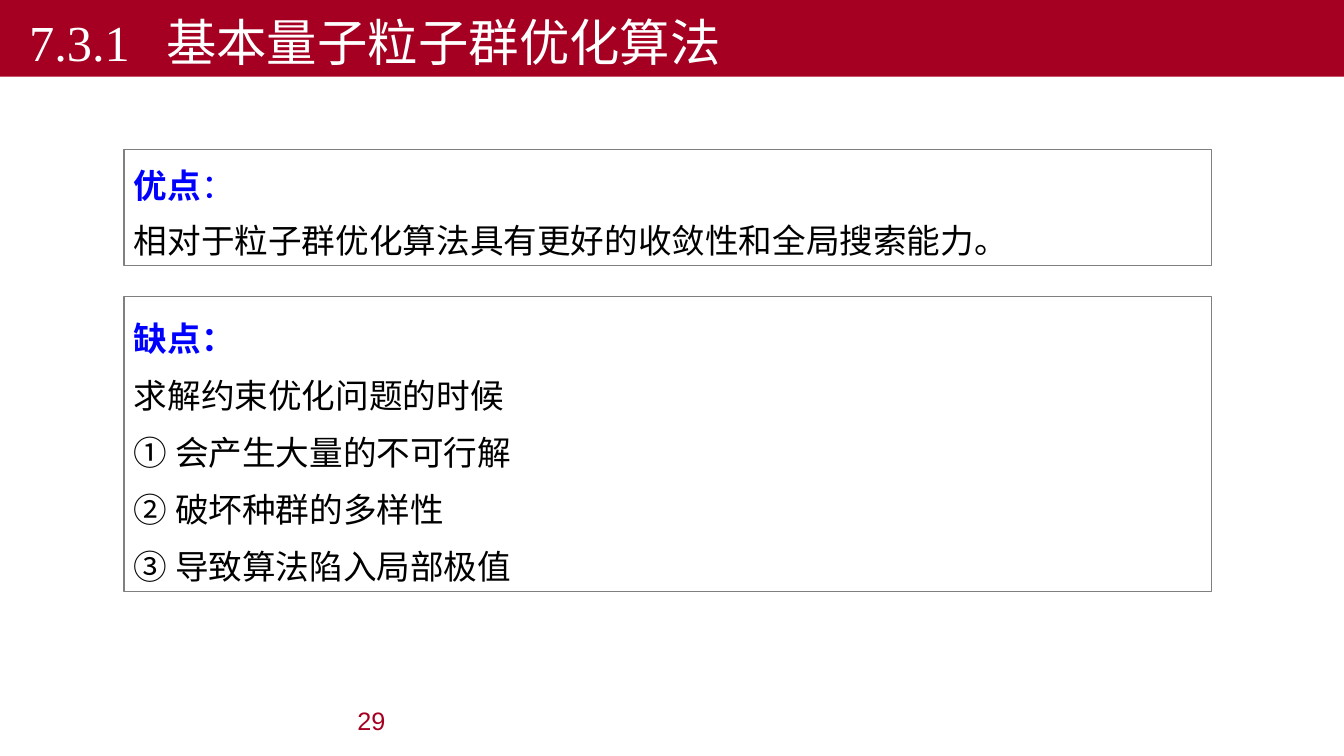
"""Build the slide on the pros and cons of the basic quantum particle swarm method."""
import pptx
import pptx.util
import pptx.dml.color
import pptx.enum.shapes
import pptx.enum.text

Inches = pptx.util.Inches
Pt = pptx.util.Pt
ALIGN = pptx.enum.text.PP_ALIGN
ANCHOR = pptx.enum.text.MSO_ANCHOR
SANS, HAN, SERIF = "Arial", "Noto Sans CJK SC", "Times New Roman"


class Deck:
    """Hold the style and the current slide."""

    hues = {"red": "A50021", "blue": "0000FF", "black": "000000",
            "white": "FFFFFF", "gray": "808080"}

    def __init__(self):
        self.deck = pptx.Presentation()
        self.deck.slide_width = Inches(13.33)
        self.deck.slide_height = Inches(7.5)
        self.slide = self.deck.slides.add_slide(self.deck.slide_layouts[6])

    def hue(self, name):
        return pptx.dml.color.RGBColor.from_string(self.hues[name])

    def rect(self, place, fill, edge=None):
        kind = pptx.enum.shapes.MSO_SHAPE.RECTANGLE
        shape = self.slide.shapes.add_shape(kind, *map(Inches, place))
        shape.shadow.inherit = False
        shape.fill.solid()
        shape.fill.fore_color.rgb = self.hue(fill)
        if edge:
            shape.line.color.rgb = self.hue(edge)
            shape.line.width = Pt(0.75)
        else:
            shape.line.fill.background()
        return self.frame(shape, ANCHOR.BOTTOM)

    def label(self, place):
        box = self.slide.shapes.add_textbox(*map(Inches, place))
        return self.frame(box, ANCHOR.MIDDLE)

    def frame(self, shape, anchor):
        frame = shape.text_frame
        frame.word_wrap = True
        frame.vertical_anchor = anchor
        return frame

    def words(self, para, runs, size, color, align, bold=False):
        para.alignment = align
        para.font.size = Pt(size)
        para.font.bold = bold
        para.font.color.rgb = self.hue(color)
        fonts = {font for _, font in runs}
        if len(fonts) == 1:
            para.font.name = runs[0][1]
        for text, font in runs:
            run = para.add_run()
            run.text = text
            if len(fonts) > 1:
                run.font.name = font

    def panel(self, top, height, head, lines, gap, pitch=None):
        frame = self.rect((1.23, top, 10.79, height), "white", "gray")
        for row, runs in enumerate([head] + lines):
            para = frame.add_paragraph() if row else frame.paragraphs[0]
            self.words(para, runs, 24, "black" if row else "blue",
                       ALIGN.JUSTIFY, not row)
            para.space_before = Pt(gap)
            if pitch:
                para.line_spacing = pitch
        return frame

    def title(self, text):
        para = self.rect((0, 0, 13.33, 0.76), "red").paragraphs[0]
        self.words(para, [(text, SERIF)], 36, "white", ALIGN.LEFT)
        props = para._p.get_or_add_pPr()
        props.set("marL", str(Inches(1.55)))
        props.set("indent", str(Inches(-1.36)))

    def number(self, text):
        para = self.label((0.92, 6.95, 3, 0.4)).paragraphs[0]
        self.words(para, [(text, SANS)], 18, "red", ALIGN.RIGHT)


def main():
    show = Deck()
    show.number("29")
    pros = show.panel(
        1.48, 1.15, [("优点", HAN), ("：", HAN)],
        [[("相对于粒子群优化算法具有更好的收敛性和全局搜索能力", SANS), ("。", HAN)]],
        4.8, 1.2)
    pros.paragraphs[0].runs[1].font.bold = False
    flaws = ["会产生大量的不可行解", "破坏种群的多样性", "导致算法陷入局部极值"]
    show.panel(
        2.94, 2.93, [("缺点：", HAN)],
        [[("求解约束优化问题的时候", SANS)]]
        + [[(mark + " ", SERIF), (flaw, SANS)] for mark, flaw in zip("①②③", flaws)],
        12)
    show.title("7.3.1\t基本量子粒子群优化算法")
    show.deck.save("out.pptx")


if __name__ == "__main__":
    main()
